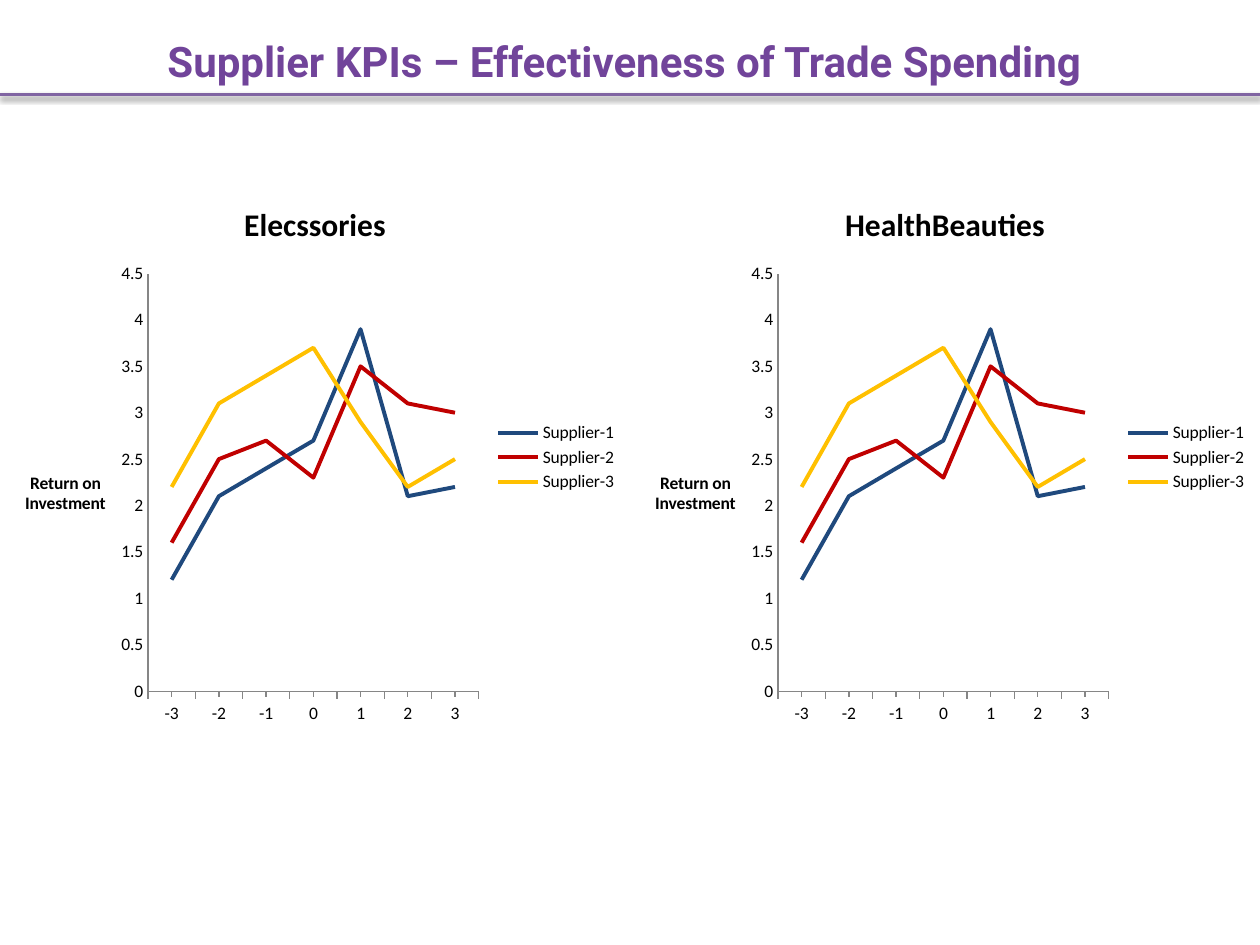
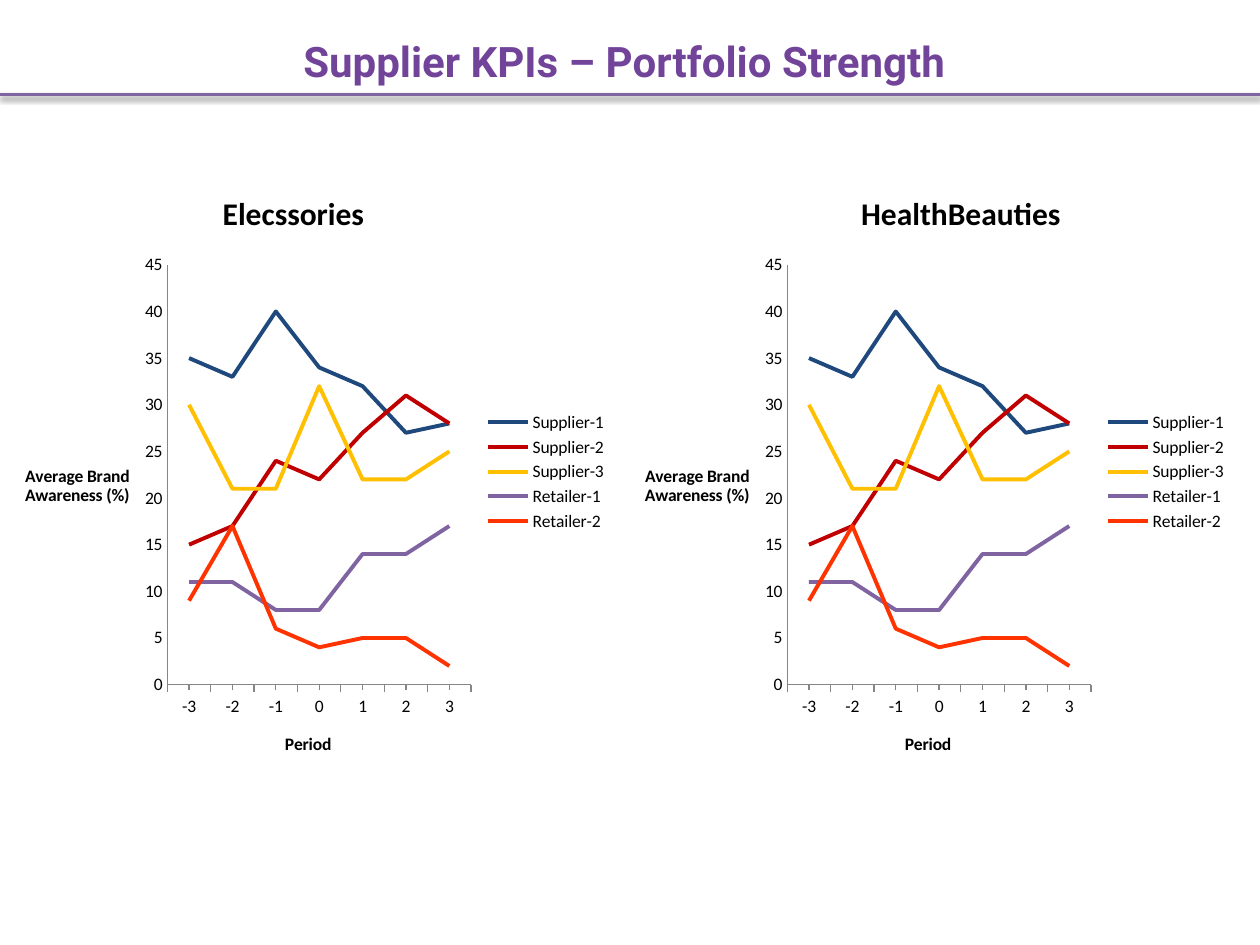
"""Build two supplier KPI slides, each with a pair of line charts."""
from lxml import etree
from pptx import Presentation
from pptx.chart.data import CategoryChartData
from pptx.dml.color import RGBColor
from pptx.enum.chart import XL_CHART_TYPE, XL_LEGEND_POSITION, XL_MARKER_STYLE, XL_TICK_MARK
from pptx.enum.shapes import MSO_CONNECTOR
from pptx.enum.text import MSO_ANCHOR, PP_ALIGN
from pptx.oxml import parse_xml
from pptx.oxml.ns import nsdecls, qn
from pptx.util import Inches, Pt

LINE = XL_CHART_TYPE.LINE
RIGHT = XL_LEGEND_POSITION.RIGHT
NONE, OUT = XL_TICK_MARK.NONE, XL_TICK_MARK.OUTSIDE
NO_MARK = XL_MARKER_STYLE.NONE
STRAIGHT = MSO_CONNECTOR.STRAIGHT
MIDDLE, CENTER = MSO_ANCHOR.MIDDLE, PP_ALIGN.CENTER

BLACK = RGBColor(0x00, 0x00, 0x00)
GREY = RGBColor(0x86, 0x86, 0x86)
PURPLE = RGBColor(0x71, 0x44, 0x9A)
NAVY = RGBColor(0x1F, 0x49, 0x7D)
RED = RGBColor(0xC0, 0x00, 0x00)
GOLD = RGBColor(0xFF, 0xC0, 0x00)
VIOLET = RGBColor(0x80, 0x64, 0xA2)
ORANGE = RGBColor(0xFF, 0x33, 0x00)
HUES = [NAVY, RED, GOLD, VIOLET, ORANGE]

HEAD = {"name": "Roboto", "size": Pt(24), "bold": True}
NAME = {"name": "Calibri", "size": Pt(18), "bold": True}
AXIS = {"name": "Calibri", "size": Pt(10), "bold": True}
BODY = {"name": "Calibri", "size": Pt(10), "bold": False}

SHADOW = f"""<a:effectLst {nsdecls("a")}>
<a:outerShdw blurRad="39370" dist="20320" dir="5400000" rotWithShape="0">
<a:srgbClr val="000000"><a:alpha val="38000"/></a:srgbClr>
</a:outerShdw></a:effectLst>"""

PERIODS = ["-3", "-2", "-1", "0", "1", "2", "3"]
SLIDES = [
    {
        "title": "Supplier KPIs – Effectiveness of Trade Spending",
        "value": "Return on Investment", "period": None,
        "top": 1.42, "width": 5, "height": 4.42, "max": 4.5, "step": 0.5,
        "plot": {"x": 0.235, "y": 0.17, "w": 0.525, "h": 0.75},
        "charts": [("Elecssories", 0, None), ("HealthBeauties", 5, None)],
        "series": {
            "Supplier-1": [1.2, 2.1, 2.4, 2.7, 3.9, 2.1, 2.2],
            "Supplier-2": [1.6, 2.5, 2.7, 2.3, 3.5, 3.1, 3],
            "Supplier-3": [2.2, 3.1, 3.4, 3.7, 2.9, 2.2, 2.5],
        },
    },
    {
        "title": "Supplier KPIs – Portfolio Strength",
        "value": "Average Brand Awareness (%)", "period": "Period",
        "top": 1.33, "width": 4.92, "height": 4.83, "max": 45, "step": 5,
        "plot": {"x": 0.27, "y": 0.16, "w": 0.49, "h": 0.69},
        "charts": [("HealthBeauties", 4.92, {"x": 0.38, "y": 0.03}),
                   ("Elecssories", 0, {"x": 0.35, "y": 0.03})],
        "series": {
            "Supplier-1": [35, 33, 40, 34, 32, 27, 28],
            "Supplier-2": [15, 17, 24, 22, 27, 31, 28],
            "Supplier-3": [30, 21, 21, 32, 22, 22, 25],
            "Retailer-1": [11, 11, 8, 8, 14, 14, 17],
            "Retailer-2": [9, 17, 6, 4, 5, 5, 2],
        },
    },
]


def write(frame, text, style, color):
    frame.text = text
    font = frame.paragraphs[0].runs[0].font
    for key, val in style.items():
        setattr(font, key, val)
    font.color.rgb = color


def place(node, index, box):
    for old in node.findall(qn("c:layout")):
        node.remove(old)
    layout = etree.Element(qn("c:layout"))
    manual = etree.SubElement(layout, qn("c:manualLayout"))
    rules = {"xMode": "edge", "yMode": "edge", **box}
    if "w" in box:
        rules = {"layoutTarget": "inner", **rules}
    for key, val in rules.items():
        etree.SubElement(manual, qn(f"c:{key}")).set("val", str(val))
    node.insert(index, layout)


deck = Presentation()
deck.slide_width, deck.slide_height = Inches(10), Inches(7.5)

for page in SLIDES:
    slide = deck.slides.add_slide(deck.slide_layouts[6])
    rule = slide.shapes.add_connector(STRAIGHT, 0, Inches(0.75), Inches(10), Inches(0.75))
    rule.line.color.rgb = VIOLET
    rule.line.width = Pt(2)
    rule._element.spPr.append(parse_xml(SHADOW))

    head = slide.shapes.add_textbox(Inches(0.08), Inches(0.05), Inches(9.75), Inches(0.87))
    frame = head.text_frame
    frame.word_wrap = True
    frame.vertical_anchor = MIDDLE
    write(frame, page["title"], HEAD, PURPLE)
    frame.paragraphs[0].alignment = CENTER

    data = CategoryChartData()
    data.categories = PERIODS
    for name, vals in page["series"].items():
        data.add_series(name, vals)

    for name, left, spot in page["charts"]:
        chart = slide.shapes.add_chart(
            LINE, Inches(left), Inches(page["top"]),
            Inches(page["width"]), Inches(page["height"]), data).chart
        for key, val in BODY.items():
            setattr(chart.font, key, val)
        chart.font.color.rgb = BLACK
        chart.has_title = True
        write(chart.chart_title.text_frame, name, NAME, BLACK)
        chart.has_legend = True
        chart.legend.position = RIGHT
        chart.legend.include_in_layout = False

        x_axis, y_axis = chart.category_axis, chart.value_axis
        y_axis.minimum_scale, y_axis.maximum_scale = 0, page["max"]
        y_axis.major_unit = page["step"]
        for axis, label, tick in ((x_axis, page["period"], OUT), (y_axis, page["value"], NONE)):
            axis.has_major_gridlines = False
            axis.major_tick_mark = axis.minor_tick_mark = tick
            axis.format.line.color.rgb = GREY
            axis.format.line.width = Pt(0.75)
            if label:
                write(axis.axis_title.text_frame, label, AXIS, BLACK)
        turn = chart.element.xpath("c:chart/c:plotArea/c:valAx/c:title//a:bodyPr")[0]
        turn.set("rot", "0")
        turn.set("vert", "horz")

        place(chart.element.xpath("c:chart/c:plotArea")[0], 0, page["plot"])
        if spot:
            place(chart.element.xpath("c:chart/c:title")[0], 1, spot)

        plot = chart.plots[0]
        plot.vary_by_categories = False
        for line, hue in zip(plot.series, HUES):
            line.smooth = False
            line.marker.style = NO_MARK
            line.format.line.color.rgb = hue
            line.format.line.width = Pt(2.25)

deck.save("out.pptx")
